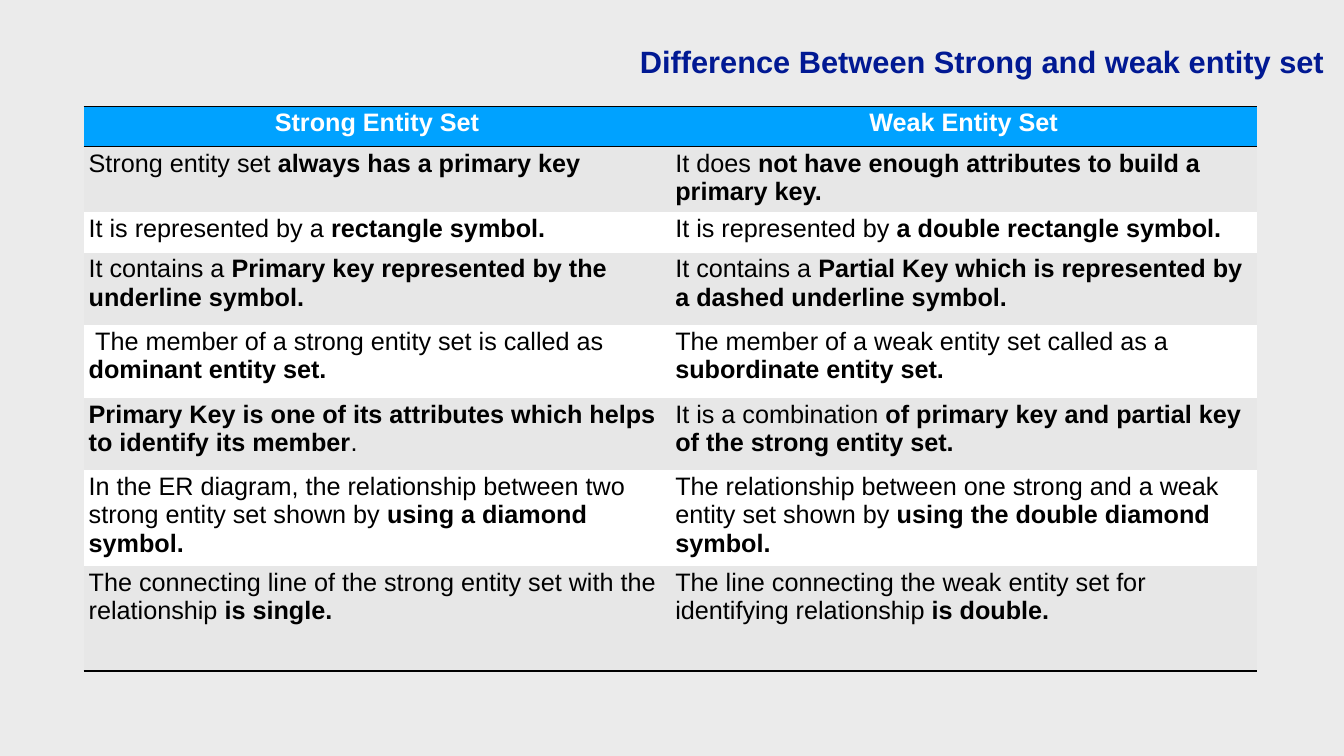
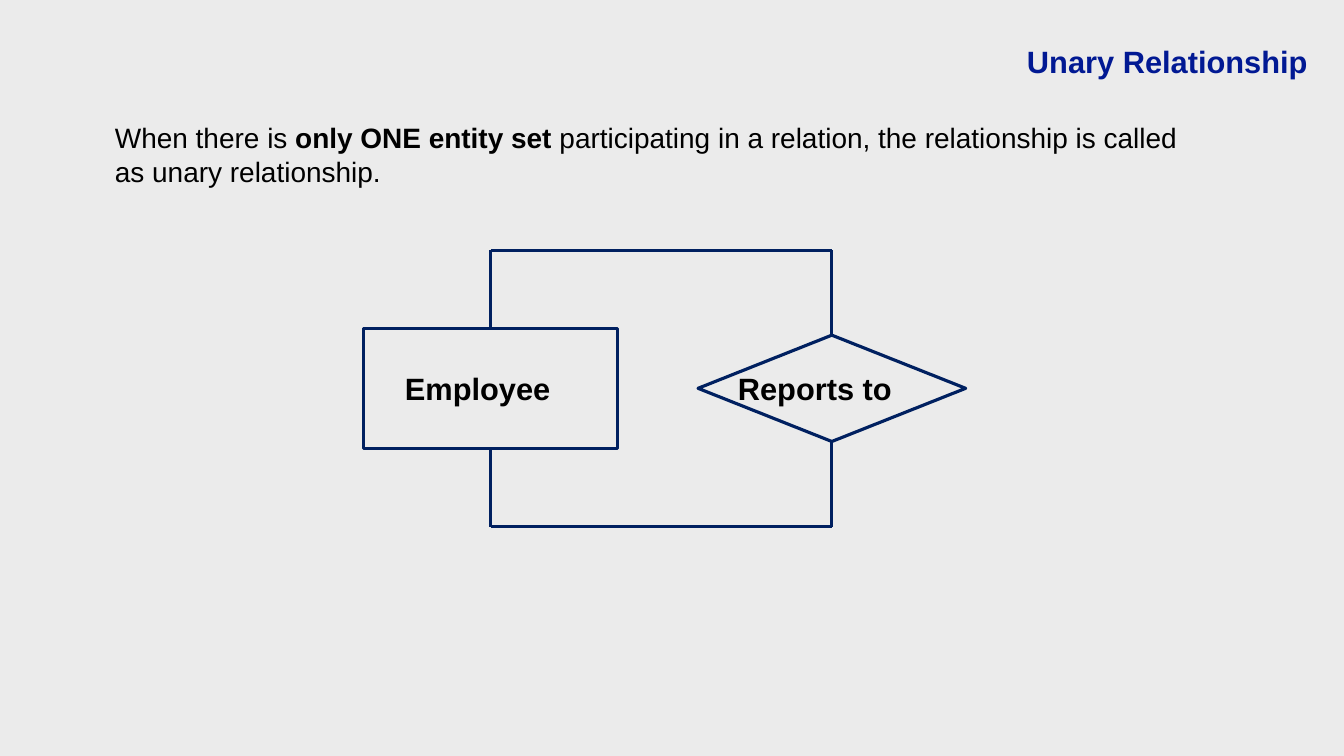
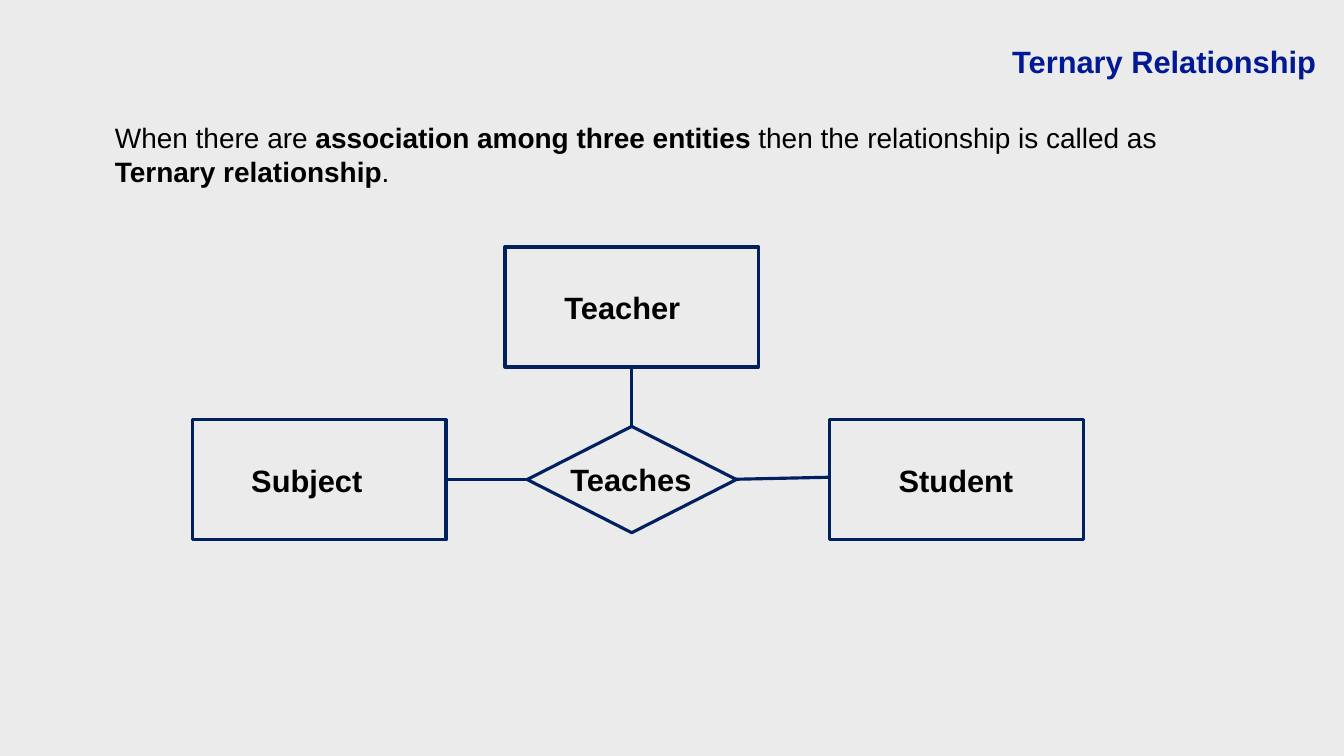
import pptx
import pptx.dml.color
import pptx.enum.shapes
import pptx.enum.text
import pptx.oxml
import pptx.oxml.ns
import pptx.util

Pt = pptx.util.Pt
RGBColor = pptx.dml.color.RGBColor
MSO_SHAPE = pptx.enum.shapes.MSO_SHAPE
PP_ALIGN = pptx.enum.text.PP_ALIGN
MSO_ANCHOR = pptx.enum.text.MSO_ANCHOR

GREY = RGBColor(0xEB, 0xEB, 0xEB)
BAND = RGBColor(0xE7, 0xE7, 0xE7)
WHITE = RGBColor(0xFF, 0xFF, 0xFF)
BLACK = RGBColor(0, 0, 0)
BLUE = RGBColor(0x00, 0xA2, 0xFF)
TITLE_BLUE = RGBColor(0x01, 0x19, 0x93)
NAVY = RGBColor(0x00, 0x20, 0x60)

FONT = "Arial"
LINE_WIDTH = 4.5
INSET = 4.3
ENTITY_W, ENTITY_H = 362.2, 171.4
DECISION_H = 151.9
LABEL_W, LABEL_H = 263.5, 61.2
NO_STYLE = "{2D5ABB26-0587-4C30-8999-92F81FD0307C}"

HEADER = ("*Strong Entity Set*", "*Weak Entity Set*")
DIFFERENCES = [
    ("Strong entity set *always has a primary key*",
     "It does *not have enough attributes to build a primary key.*"),
    ("It is represented by a *rectangle symbol.*",
     "It is represented by *a double rectangle symbol.*"),
    ("It contains a *Primary key represented by the underline symbol.*",
     "It contains a *Partial Key which is represented by a dashed underline symbol.*"),
    (" The member of a strong entity set is called as *dominant entity set.*",
     "The member of a weak entity set called as a *subordinate entity set.*"),
    ("*Primary Key is one of its attributes which helps to identify its member*.",
     "It is a combination *of primary key and partial key of the strong entity set.*"),
    ("In the ER diagram, the relationship between two strong entity set shown by"
     "* using a diamond symbol.*",
     "The relationship between one strong and a weak entity set shown by "
     "*using the double diamond symbol.*"),
    ("The connecting line of the strong entity set with the relationship *is single.*",
     "The line connecting the weak entity set for identifying relationship *is double.*"),
]
ROW_HEIGHTS = [57.6] * 3 + [103.7] * 4 + [149.8]


def add_runs(p, marked, size, color):
    for i, text in enumerate(marked.split("*")):
        if text:
            r = p.add_run()
            r.text = text
            r.font.name = FONT
            r.font.size = Pt(size)
            r.font.bold = i % 2 == 1
            r.font.color.rgb = color


def add_text(slide, box, marked, size, color=BLACK, align=PP_ALIGN.LEFT):
    tf = slide.shapes.add_textbox(*map(Pt, box)).text_frame
    tf.word_wrap = True
    tf.auto_size = pptx.enum.text.MSO_AUTO_SIZE.SHAPE_TO_FIT_TEXT
    tf.paragraphs[0].alignment = align
    add_runs(tf.paragraphs[0], marked, size, color)
    return tf


def add_tight_text(slide, box, text, color, align, right=INSET):
    tf = add_text(slide, box, f"*{text}*", 44, color, align)
    tf.vertical_anchor = MSO_ANCHOR.MIDDLE
    tf.margin_left = tf.margin_top = tf.margin_bottom = Pt(INSET)
    tf.margin_right = Pt(right)


def add_slide(prs, title, right=INSET):
    slide = prs.slides.add_slide(prs.slide_layouts[6])
    add_tight_text(slide, (700.6, 56.2, 1196.6, 61.2), title, TITLE_BLUE,
                   PP_ALIGN.RIGHT, right)
    return slide


def add_definition(slide, marked):
    add_text(slide, (157, 168.5, 1568.9, 104.4), marked, 40)


def add_node(slide, kind, x, y, w, h, text, label_dx):
    sp = slide.shapes.add_shape(kind, Pt(x), Pt(y), Pt(w), Pt(h))
    sp.shadow.inherit = False
    sp.fill.background()
    sp.line.color.rgb = NAVY
    sp.line.width = Pt(LINE_WIDTH)
    label = (x + label_dx, y + (h - LABEL_H) / 2, LABEL_W, LABEL_H)
    add_tight_text(slide, label, text, BLACK, PP_ALIGN.CENTER)


def add_entity(slide, x, y, text, label_dx):
    add_node(slide, MSO_SHAPE.FLOWCHART_PROCESS, x, y, ENTITY_W, ENTITY_H, text, label_dx)


def add_decision(slide, x, y, w, text, label_dx):
    add_node(slide, MSO_SHAPE.FLOWCHART_DECISION, x, y, w, DECISION_H, text, label_dx)


def add_line(slide, *ends):
    line = slide.shapes.add_connector(
        pptx.enum.shapes.MSO_CONNECTOR.STRAIGHT, *map(Pt, ends))
    line.line.color.rgb = NAVY
    line.line.width = Pt(LINE_WIDTH)
    sp_pr = line._element.spPr
    sp_pr.append(sp_pr.makeelement(pptx.oxml.ns.qn("a:effectLst"), {}))


def set_borders(cell, sides):
    tc_pr = cell._tc.get_or_add_tcPr()
    for i, side in enumerate(sides):
        tc_pr.insert(i, pptx.oxml.parse_xml(
            f'<a:ln{side} {pptx.oxml.ns.nsdecls("a")} w="{Pt(2)}"><a:solidFill>'
            f'<a:srgbClr val="{BLACK}"/></a:solidFill></a:ln{side}>'))


def add_comparison(slide, rows):
    frame = slide.shapes.add_table(
        len(rows), 2, Pt(119.5), Pt(151.9), Pt(1676.2), Pt(806.4))
    table = frame.table
    table.first_row = table.horz_banding = False
    table._tbl.tblPr.find(pptx.oxml.ns.qn("a:tableStyleId")).text = NO_STYLE
    for i, (texts, height) in enumerate(zip(rows, ROW_HEIGHTS)):
        table.rows[i].height = Pt(height)
        fill = BLUE if i == 0 else BAND if i % 2 else WHITE
        sides = "TB" if i == 0 else "B" if i == len(rows) - 1 else ""
        for cell, text in zip(table.rows[i].cells, texts):
            cell.fill.solid()
            cell.fill.fore_color.rgb = fill
            set_borders(cell, sides)
            p = cell.text_frame.paragraphs[0]
            p.alignment = PP_ALIGN.LEFT if i else PP_ALIGN.CENTER
            add_runs(p, text, 36, BLACK if i else WHITE)
    frame.height = Pt(806.4)


def draw_unary(slide):
    add_definition(slide, "When there is *only ONE entity set *participating in a relation, "
                          "the relationship is called as unary relationship.")
    entity_y, decision_y = 469.4, 478.8
    add_entity(slide, 519.8, entity_y, "Employee", 31)
    add_decision(slide, 997.2, decision_y, 382.3, "Reports to", 35.3)
    left, right = 700.8, 1188.2
    loops = [(357.8, entity_y, decision_y),
             (752.4, entity_y + ENTITY_H, decision_y + DECISION_H)]
    for loop_y, entity_edge, decision_edge in loops:
        add_line(slide, left, entity_edge, left, loop_y)
        add_line(slide, left, loop_y, right, loop_y)
        add_line(slide, right, loop_y, right, decision_edge)


def draw_ternary(slide):
    add_definition(slide, "When there are *association among three entities* then the "
                          "relationship is called as *Ternary relationship*.")
    add_entity(slide, 275, 599.8, "Subject", 31.7)
    add_decision(slide, 753.1, 609.1, 298.8, "Teaches", 16.6)
    add_entity(slide, 1185.1, 599.8, "Student", 49)
    add_entity(slide, 721.4, 352.8, "Teacher", 36)
    add_line(slide, 637.2, 685.4, 753.1, 685.4)
    add_line(slide, 1049.8, 684.7, 1184.4, 681.8)
    add_line(slide, 902.2, 609.1, 902.2, 524.2)


def main():
    prs = pptx.Presentation()
    prs.slide_width, prs.slide_height = Pt(1920), Pt(1080)
    background = prs.slide_master.background.fill
    background.solid()
    background.fore_color.rgb = GREY

    slide = add_slide(prs, "Difference Between Strong and weak entity set")
    add_comparison(slide, [HEADER] + DIFFERENCES)
    draw_unary(add_slide(prs, "Unary Relationship", 28.8))
    draw_ternary(add_slide(prs, "Ternary Relationship", 16.5))
    prs.save("out.pptx")


if __name__ == "__main__":
    main()
